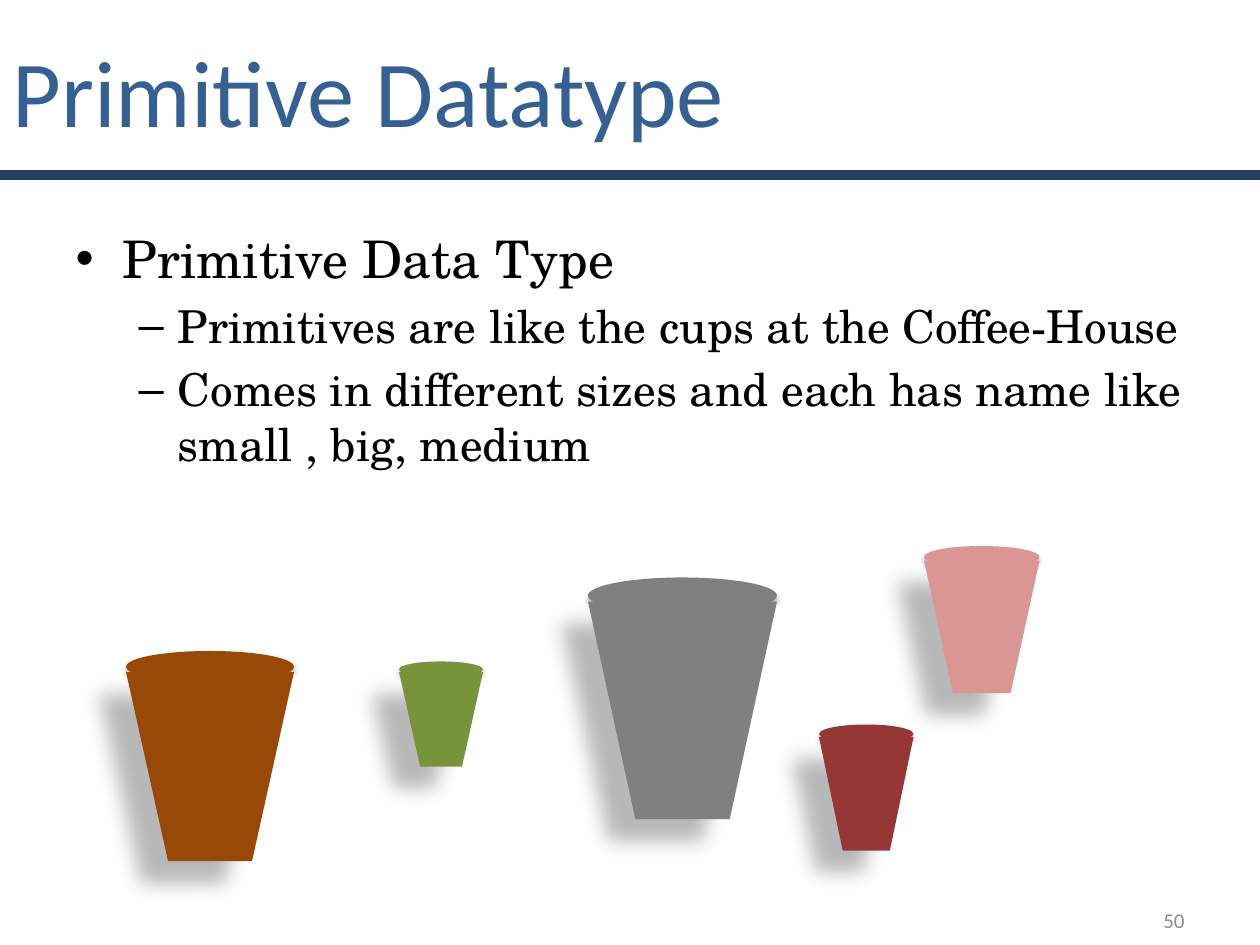
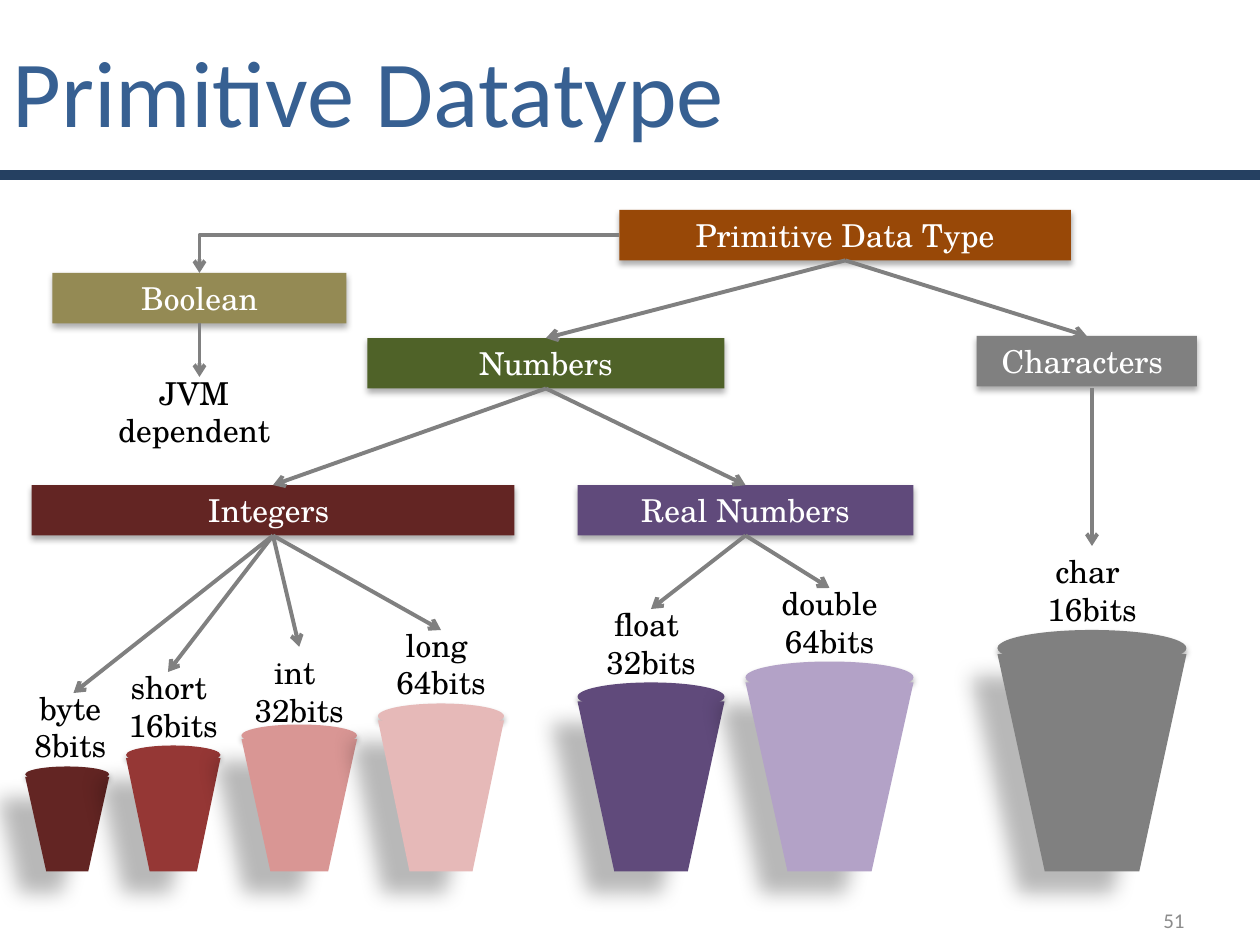
import pptx
import pptx.dml.color
import pptx.enum.shapes
import pptx.enum.text
import pptx.oxml
import pptx.oxml.ns
import pptx.util
from lxml import etree

PX = 7620
SERIF = "TeX Gyre Schola"
SOFT = (32, 3.5, 2.2, 90)
LONG = (28, 11.8, 19.7, 141)
HUES = {
    "navy": "254061", "blue": "376092", "black": "000000", "white": "FFFFFF",
    "pale": "8C8C8C", "gray": "808080", "brown": "984807", "lime": "77933C",
    "green": "4F6228", "khaki": "948A54", "wine": "632523", "red": "953735",
    "rose": "D99694", "pink": "E6B9B8", "plum": "604A7B", "lilac": "B3A2C7",
}
RGB = {name: pptx.dml.color.RGBColor.from_string(code) for name, code in HUES.items()}
FORM = pptx.enum.shapes.MSO_SHAPE
LINK = pptx.enum.shapes.MSO_CONNECTOR
ALIGN = pptx.enum.text.PP_ALIGN
MIDDLE = pptx.enum.text.MSO_ANCHOR.MIDDLE
qn = pptx.oxml.ns.qn


def write(shape, text, font, size, hue, align=ALIGN.CENTER):
    frame = shape.text_frame
    frame.word_wrap = True
    frame.text = text
    for para in frame.paragraphs:
        para.alignment = align
        for run in para.runs:
            run.font.name = font
            run.font.size = pptx.util.Pt(size)
            run.font.color.rgb = RGB[hue]
    return frame


def draw(slide, form, area, hue, shade=None):
    shape = slide.shapes.add_shape(form, *[round(n * PX) for n in area])
    shape.shadow.inherit = False
    shape.fill.solid()
    shape.fill.fore_color.rgb = RGB[hue]
    shape.line.fill.background()
    if shade:
        alpha, blur, dist, angle = shade
        effect = shape.element.spPr.find(qn("a:effectLst"))
        outer = etree.SubElement(
            effect, qn("a:outerShdw"), blurRad=str(round(blur * 12700)),
            dist=str(round(dist * 12700)), dir=str(angle * 60000), rotWithShape="0")
        tint = etree.SubElement(outer, qn("a:srgbClr"), val=HUES["black"])
        etree.SubElement(tint, qn("a:alpha"), val=str(alpha * 1000))
    return shape


prs = pptx.Presentation()
prs.slide_width = 1200 * PX
prs.slide_height = 900 * PX
intro = prs.slides.add_slide(prs.slide_layouts[1])
tree = prs.slides.add_slide(prs.slide_layouts[5])

for slide, page in ((intro, "50"), (tree, "51")):
    band = draw(slide, FORM.RECTANGLE, (0, 164, 1200, 6), "navy")
    band.line.color.rgb = RGB["navy"]
    band.line.width = pptx.util.Pt(2)
    title = slide.shapes.title
    title.left, title.top, title.width, title.height = 0, 0, 1030 * PX, 170 * PX
    frame = write(title, "Primitive Datatype", "Calibri", 54, "blue", ALIGN.LEFT)
    frame.vertical_anchor = MIDDLE
    frame.auto_size = pptx.enum.text.MSO_AUTO_SIZE.NONE
    foot = slide.shapes.add_textbox(860 * PX, 852 * PX, 280 * PX, 48 * PX)
    write(foot, page, "Calibri", 12, "pale", ALIGN.RIGHT).vertical_anchor = MIDDLE

body = intro.placeholders[1]
body.left, body.top, body.width, body.height = [n * PX for n in (60, 210, 1080, 300)]
points = (
    "Primitive Data Type",
    "Primitives are like the cups at the Coffee-House",
    "Comes in different sizes and each has name like small , big, medium",
)
frame = write(body, "\n".join(points), SERIF, 25.9, "black", ALIGN.LEFT)
frame.auto_size = pptx.enum.text.MSO_AUTO_SIZE.NONE
frame.paragraphs[0].space_before = pptx.util.Pt(0)
frame.paragraphs[0].runs[0].font.size = pptx.util.Pt(29.6)
for para in frame.paragraphs[1:]:
    para.level = 1

cups = (
    (intro, 380, 630, 80, 90, "lime"),
    (intro, 780, 690, 90, 108, "red"),
    (intro, 880, 520, 110, 126, "rose"),
    (intro, 560, 550, 180, 207, "gray"),
    (intro, 120, 620, 160, 180, "brown"),
    (tree, 24, 730, 80, 90, "wine"),
    (tree, 120, 710, 90, 108, "red"),
    (tree, 230, 690, 110, 126, "rose"),
    (tree, 360, 670, 120, 144, "pink"),
    (tree, 550, 650, 140, 162, "plum"),
    (tree, 710, 630, 160, 180, "lilac"),
    (tree, 950, 600, 180, 207, "gray"),
)
for slide, left, top, wide, high, hue in cups:
    draw(slide, FORM.OVAL, (left, top, wide, high / 6), hue, SOFT)
    side = draw(slide, FORM.TRAPEZOID, (left, top + high / 9, wide, high), hue, LONG)
    side.rotation = 180

labels = (
    ("byte\n8bits", 20, 650, 94),
    ("short \n16bits", 110, 630, 110),
    ("int \n32bits", 230, 616, 110),
    ("long \n64bits", 360, 590, 120),
    ("float \n32bits", 550, 570, 140),
    ("double\n64bits", 710, 550, 160),
    ("char \n16bits", 950, 520, 180),
    ("JVM dependent", 70, 350, 230),
)
for text, left, top, wide in labels:
    label = tree.shapes.add_textbox(left * PX, top * PX, wide * PX, 85 * PX)
    write(label, text, SERIF, 18, "black").word_wrap = "\n" not in text

boxes = {}
for key, text, left, top, wide, hue in (
    ("root", "Primitive Data Type", 590, 200, 430, "brown"),
    ("num", "Numbers", 350, 322, 340, "green"),
    ("chars", "Characters ", 930, 320, 210, "gray"),
    ("ints", "Integers ", 30, 462, 460, "wine"),
    ("reals", "Real Numbers", 550, 462, 320, "plum"),
    ("bool", "Boolean", 50, 260, 280, "khaki"),
):
    boxes[key] = draw(tree, FORM.RECTANGLE, (left, top, wide, 48), hue, SOFT)
    write(boxes[key], text, SERIF, 18, "white").vertical_anchor = MIDDLE

links = (
    ("root", 2, "num"), ("root", 2, "chars"), ("root", 1, "bool"),
    ("num", 2, "ints"), ("num", 2, "reals"), ("bool", 2, (190, 359)),
    ("ints", 2, (70, 660)), ("ints", 2, (160, 640)),
    ("ints", 2, (285, 616)), ("ints", 2, (420, 600)),
    ("reals", 2, (620, 580)), ("reals", 2, (790, 560)),
    ((1040, 370), 2, (1040, 520)),
)
for start, site, end in links:
    bent = site == 1
    ends = [(0, 0) if isinstance(spot, str) else spot for spot in (start, end)]
    link = tree.shapes.add_connector(
        LINK.ELBOW if bent else LINK.STRAIGHT, *[n * PX for spot in ends for n in spot])
    if start in boxes:
        link.begin_connect(boxes[start], site)
    if end in boxes:
        link.end_connect(boxes[end], 0)
    link.line.color.rgb = RGB["gray"]
    link.line.width = pptx.util.Pt(2.25)
    props = link.element.spPr
    if bent:
        props.find(qn("a:prstGeom")).set("prst", "bentConnector2")
    etree.SubElement(props.find(qn("a:ln")), qn("a:tailEnd"), type="arrow")
    etree.SubElement(props, qn("a:effectLst"))

prs.save("out.pptx")
